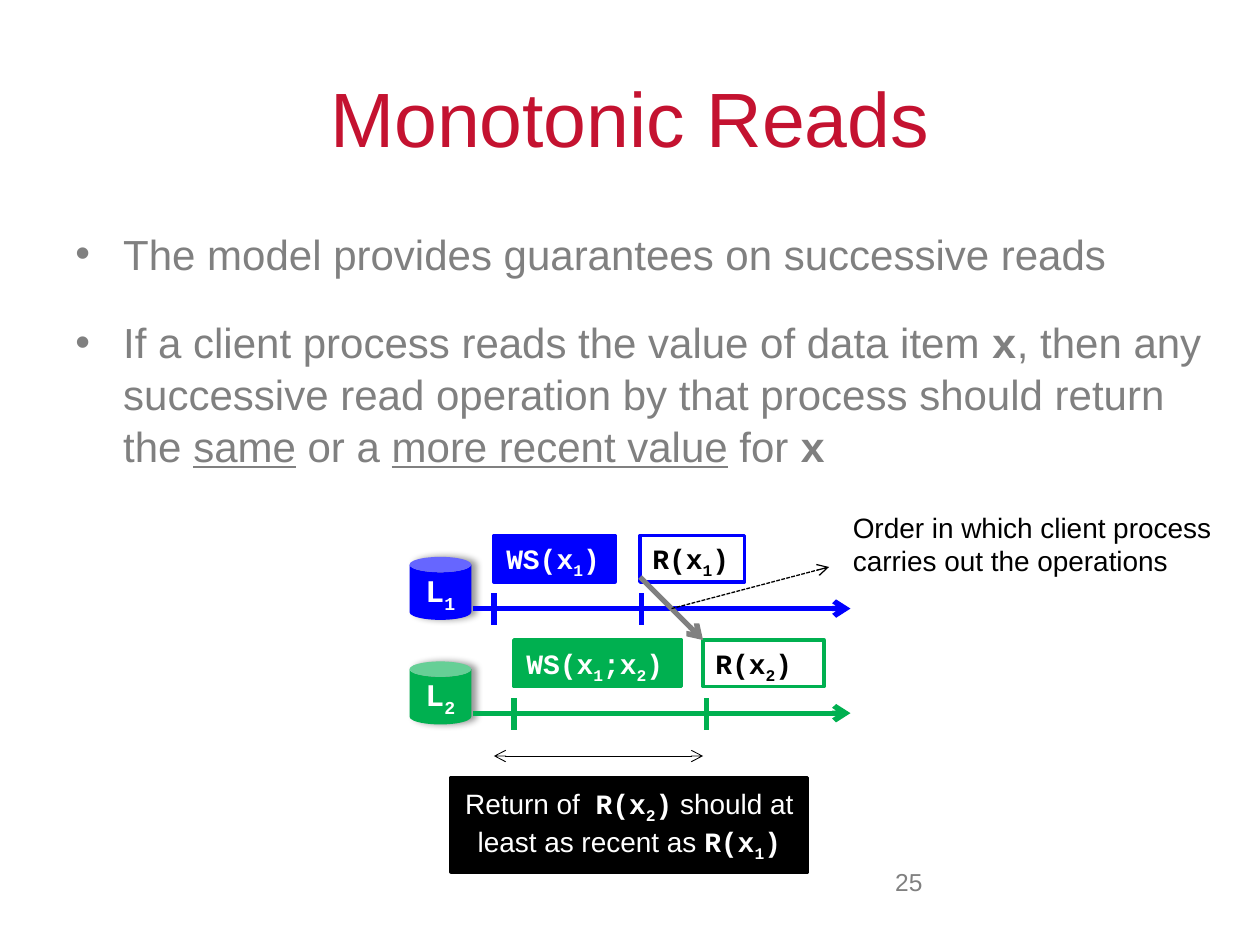
from dataclasses import dataclass

import pptx
import pptx.dml.color
import pptx.enum.dml
import pptx.enum.shapes
import pptx.enum.text
import pptx.oxml
import pptx.oxml.ns
import pptx.util
from pptx.util import Inches

SHAPE = pptx.enum.shapes.MSO_SHAPE
ALIGN = pptx.enum.text.PP_ALIGN
ANCHOR = pptx.enum.text.MSO_ANCHOR
NS = pptx.oxml.ns.nsdecls("a")


@dataclass(frozen=True)
class Theme:
    sans: str = "Arial"
    mono: str = "Courier New"
    red: str = "C41230"
    gray: str = "808080"
    blue: str = "0000FF"
    green: str = "00B050"
    black: str = "000000"
    white: str = "FFFFFF"
    title: int = 44
    body: int = 24
    disk: int = 18
    label: int = 16
    page: int = 14


THEME = Theme()


def rgb(code):
    return pptx.dml.color.RGBColor.from_string(code)


def add_xml(parent, xml):
    tag, _, rest = xml.partition(" ")
    parent.append(pptx.oxml.parse_xml(f"<a:{tag} {NS} {rest}"))


def code(name, *subs):
    """Runs for a call such as R(x1), with its indices lowered."""
    runs = [(name + "(x", "c")]
    for i, sub in enumerate(subs):
        if i:
            runs.append((";x", "c"))
        runs.append((sub, "cs"))
    return runs + [(")", "c")]


def write(para, runs, size, color, align=ALIGN.LEFT):
    """Run styles: c is code, s is subscript, u is underlined."""
    para.alignment = align
    para.font.size = pptx.util.Pt(size)
    para.font.color.rgb = rgb(color)
    para.font.name = THEME.sans
    if all("c" in style for _, style in runs):
        para.font.name, para.font.bold = THEME.mono, True
    for text, style in runs:
        run = para.add_run()
        run.text = text
        if "c" in style and not para.font.bold:
            run.font.name, run.font.bold = THEME.mono, True
        if "u" in style:
            run.font.underline = True
        if "s" in style:
            run.font._element.set("baseline", "-25000")


def add_text(slide, box, runs, size, color, align=ALIGN.LEFT, anchor=ANCHOR.TOP):
    frame = slide.shapes.add_textbox(*map(Inches, box)).text_frame
    frame.word_wrap = True
    frame.vertical_anchor = anchor
    write(frame.paragraphs[0], runs, size, color, align)


def add_box(slide, box, runs, fill, edge, ink, kind=SHAPE.RECTANGLE,
            size=THEME.label, align=ALIGN.LEFT, anchor=ANCHOR.TOP):
    shape = slide.shapes.add_shape(kind, *map(Inches, box))
    shape.shadow.inherit = False
    shape.fill.solid()
    shape.fill.fore_color.rgb = rgb(fill)
    if edge:
        shape.line.color.rgb = rgb(edge)
        shape.line.width = pptx.util.Pt(2)
    else:
        shape.line.fill.background()
    frame = shape.text_frame
    frame.word_wrap = True
    frame.vertical_anchor = anchor
    write(frame.paragraphs[0], runs, size, ink, align)
    return shape


def add_line(slide, x1, y1, x2, y2, color, width=3, ends=(), dash=None):
    line = slide.shapes.add_connector(
        pptx.enum.shapes.MSO_CONNECTOR.STRAIGHT, *map(Inches, (x1, y1, x2, y2)))
    line.line.color.rgb = rgb(color)
    line.line.width = pptx.util.Pt(width)
    if dash:
        line.line.dash_style = dash
    for end in ends:
        add_xml(line.line._get_or_add_ln(), f'{end} type="arrow"/>')
    add_xml(line._element.spPr, "effectLst />")


def add_body(slide, box):
    frame = slide.shapes.add_textbox(*map(Inches, box)).text_frame
    frame.word_wrap = True
    items = [
        [("The model provides guarantees on successive reads", "")],
        [("If a client process reads the value of data item ", ""), ("x", "c"),
         (", then any successive read operation by that process should return the ", ""),
         ("same", "u"), (" or a ", ""), ("more recent value", "u"),
         (" for ", ""), ("x", "c")],
    ]
    for i, runs in enumerate(items):
        para = frame.add_paragraph() if i else frame.paragraphs[0]
        para.line_spacing = 1.03
        if i:
            para.space_before = pptx.util.Pt(21)
        props = para._p.get_or_add_pPr()
        props.set("marL", str(Inches(0.38)))
        props.set("indent", str(Inches(-0.38)))
        add_xml(props, 'buFont typeface="Arial"/>')
        add_xml(props, 'buChar char="•"/>')
        write(para, runs, THEME.body, THEME.gray)


def add_lane(slide, x, y, index, color, events):
    """One replica: its disk, time line, and operations with their ticks."""
    disk = add_box(slide, (x, y + 0.17, 0.49, 0.5), [("L", "c"), (index, "cs")],
                   color, None, THEME.white, SHAPE.CAN, THEME.disk,
                   ALIGN.CENTER, ANCHOR.MIDDLE)
    glow = disk._element.spPr.find(pptx.oxml.ns.qn("a:effectLst"))
    add_xml(glow, 'outerShdw blurRad="50800" dist="38100" dir="0" rotWithShape="0">'
                  '<a:srgbClr val="000000"><a:alpha val="40000"/></a:srgbClr>'
                  '</a:outerShdw>')
    axis = y + 0.58
    add_line(slide, x + 0.5, axis, x + 3.5, axis, color, ends=["tailEnd"])
    for left, width, runs, fill, ink, tick in events:
        add_box(slide, (x + left, y, width, 0.37), runs, fill, color, ink)
        add_line(slide, x + tick, axis + 0.13, x + tick, axis - 0.12, color)


def add_diagram(slide, x, y):
    t = THEME
    low = y + 0.83
    add_lane(slide, x, y, "1", t.blue, [
        (0.67, 0.96, code("WS", "1"), t.blue, t.white, 0.67),
        (1.83, 0.83, code("R", "1"), t.white, t.black, 1.84)])
    add_lane(slide, x, low, "2", t.green, [
        (0.83, 1.33, code("WS", "1", "2"), t.green, t.white, 0.83),
        (2.33, 0.96, code("R", "2"), t.white, t.black, 2.36)])

    # Span and conclusion
    add_line(slide, x + 0.67, y + 1.75, x + 2.33, y + 1.75, t.black, 0.5,
             ["headEnd", "tailEnd"])
    note = [("Return of  ", ""), *code("R", "2"),
            (" should at least as recent as ", ""), *code("R", "1")]
    add_box(slide, (x + 0.33, y + 1.92, 2.83, 0.75), note, t.black, t.black,
            t.white, align=ALIGN.CENTER, anchor=ANCHOR.MIDDLE)

    # Order of the client's operations
    add_line(slide, x + 1.83, y + 0.33, x + 2.33, low, t.gray, ends=["tailEnd"])
    add_text(slide, (x + 3.42, y - 0.25, 3.08, 0.64),
             [("Order in which client process carries out the operations", "")],
             t.label, t.black)
    add_line(slide, x + 2.08, y + 0.58, x + 3.33, y + 0.25, t.black, 0.75,
             ["tailEnd"], pptx.enum.dml.MSO_LINE.SQUARE_DOT)


def main():
    deck = pptx.Presentation()
    deck.slide_width, deck.slide_height = Inches(10), Inches(7.5)
    slide = deck.slides.add_slide(deck.slide_layouts[6])
    add_text(slide, (0.5, 0.3, 9, 1.25), [("Monotonic Reads", "")],
             THEME.title, THEME.red, ALIGN.CENTER, ANCHOR.MIDDLE)
    add_body(slide, (0.5, 1.75, 9.17, 4.95))
    add_text(slide, (6.5, 6.83, 0.92, 0.52), [("25", "")],
             THEME.page, THEME.gray, ALIGN.RIGHT)
    add_diagram(slide, 3.25, 4.25)
    deck.save("out.pptx")


if __name__ == "__main__":
    main()
